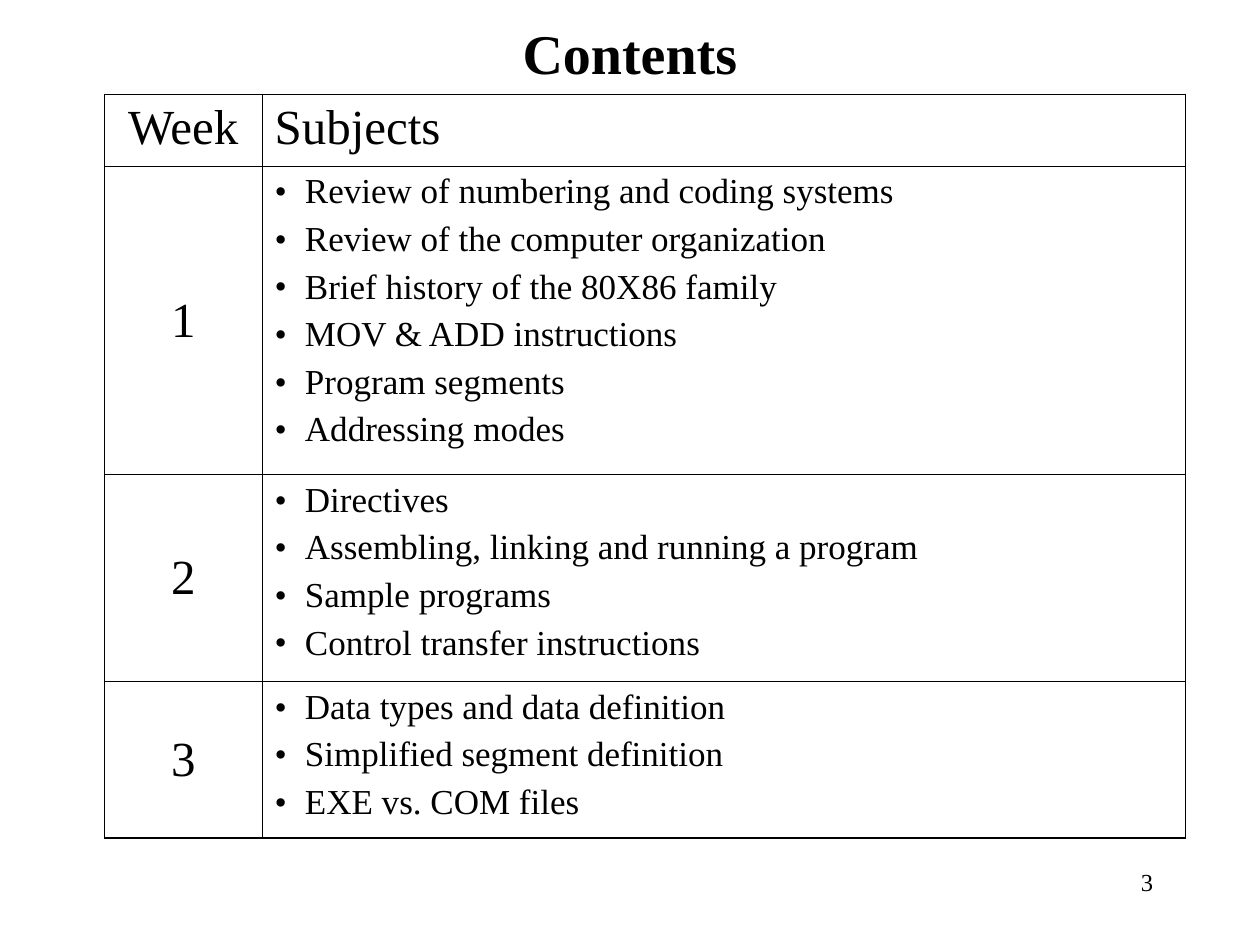
from lxml.etree import SubElement
from pptx import Presentation
from pptx.dml.color import RGBColor
from pptx.enum.text import MSO_ANCHOR as Anchor, PP_ALIGN as Align
from pptx.oxml.ns import qn
from pptx.util import Inches, Pt

COLORS = {"ink": "000000", "paper": "FFFFFF"}
FONT = "Times New Roman"
THICK, THIN = 1.08, 0.45
COLUMN_WIDTHS = [1.25, 7.33]
ROW_HEIGHTS = [0.57, 2.43, 1.63, 1.23]
WEEKS = [
    [
        "Review of numbering and coding systems",
        "Review of the computer organization",
        "Brief history of the 80X86 family",
        "MOV & ADD instructions",
        "Program segments",
        "Addressing modes",
    ],
    [
        "Directives",
        "Assembling, linking and running a program",
        "Sample programs",
        "Control transfer instructions",
    ],
    [
        "Data types and data definition",
        "Simplified segment definition",
        "EXE vs. COM files",
    ],
]


class SlideBuilder:
    def __init__(self, presentation):
        self.slide = presentation.slides.add_slide(presentation.slide_layouts[6])
        background = self.slide.background.fill
        background.solid()
        background.fore_color.rgb = RGBColor.from_string(COLORS["paper"])

    def fill_text(self, frame, lines, size, align=Align.LEFT, bold=False, bullet=False):
        for index, line in enumerate(lines):
            paragraph = frame.paragraphs[0] if index == 0 else frame.add_paragraph()
            paragraph.text = line
            paragraph.alignment = align
            paragraph.space_before = Pt(5 if index else 0)
            if bullet:
                self.add_bullet(paragraph)
            paragraph.font.name = FONT
            paragraph.font.size = Pt(size)
            paragraph.font.bold = bold
            paragraph.font.color.rgb = RGBColor.from_string(COLORS["ink"])

    def add_bullet(self, paragraph):
        properties = paragraph._p.get_or_add_pPr()
        indent = Inches(0.24)
        properties.set("marL", str(indent))
        properties.set("indent", str(-indent))
        SubElement(properties, qn("a:buFont"), typeface=FONT)
        SubElement(properties, qn("a:buChar"), char="•")

    def add_text(self, text, box, size, align, anchor=Anchor.TOP, bold=False):
        shape = self.slide.shapes.add_textbox(*map(Inches, box))
        frame = shape.text_frame
        frame.word_wrap = True
        frame.vertical_anchor = anchor
        self.fill_text(frame, [text], size, align, bold)

    def add_table(self, left, top, widths, heights):
        box = map(Inches, (left, top, sum(widths), sum(heights)))
        table = self.slide.shapes.add_table(len(heights), len(widths), *box).table
        table.first_row = table.horz_banding = False
        for column, width in zip(table.columns, widths):
            column.width = Inches(width)
        for row, height in zip(table.rows, heights):
            row.height = Inches(height)
        for row in range(len(heights)):
            for column in range(len(widths)):
                self.style_cell(table, row, column)
        return table

    def style_cell(self, table, row, column):
        cell = table.cell(row, column)
        outer = {
            "L": column == 0,
            "R": column == len(table.columns) - 1,
            "T": row == 0,
            "B": row == len(table.rows) - 1,
        }
        properties = cell._tc.get_or_add_tcPr()
        for side, is_outer in outer.items():
            width = Pt(THICK if is_outer else THIN)
            line = SubElement(properties, qn(f"a:ln{side}"), w=str(width))
            fill = SubElement(line, qn("a:solidFill"))
            SubElement(fill, qn("a:srgbClr"), val=COLORS["ink"])
        cell.fill.background()


def main():
    presentation = Presentation()
    presentation.slide_width = Inches(10)
    presentation.slide_height = Inches(7.5)
    builder = SlideBuilder(presentation)

    builder.add_text("Contents", (0.75, 0.25, 8.5, 0.33), 32, Align.CENTER, Anchor.MIDDLE, True)
    table = builder.add_table(0.83, 0.75, COLUMN_WIDTHS, ROW_HEIGHTS)
    builder.fill_text(table.cell(0, 0).text_frame, ["Week"], 28, Align.CENTER)
    builder.fill_text(table.cell(0, 1).text_frame, ["Subjects"], 28)
    for week, subjects in enumerate(WEEKS, start=1):
        number = table.cell(week, 0)
        number.vertical_anchor = Anchor.MIDDLE
        builder.fill_text(number.text_frame, [str(week)], 28, Align.CENTER)
        builder.fill_text(table.cell(week, 1).text_frame, subjects, 20, bullet=True)
    builder.add_text("3", (7.17, 6.83, 2.08, 0.5), 14, Align.RIGHT)

    presentation.save("out.pptx")


if __name__ == "__main__":
    main()
